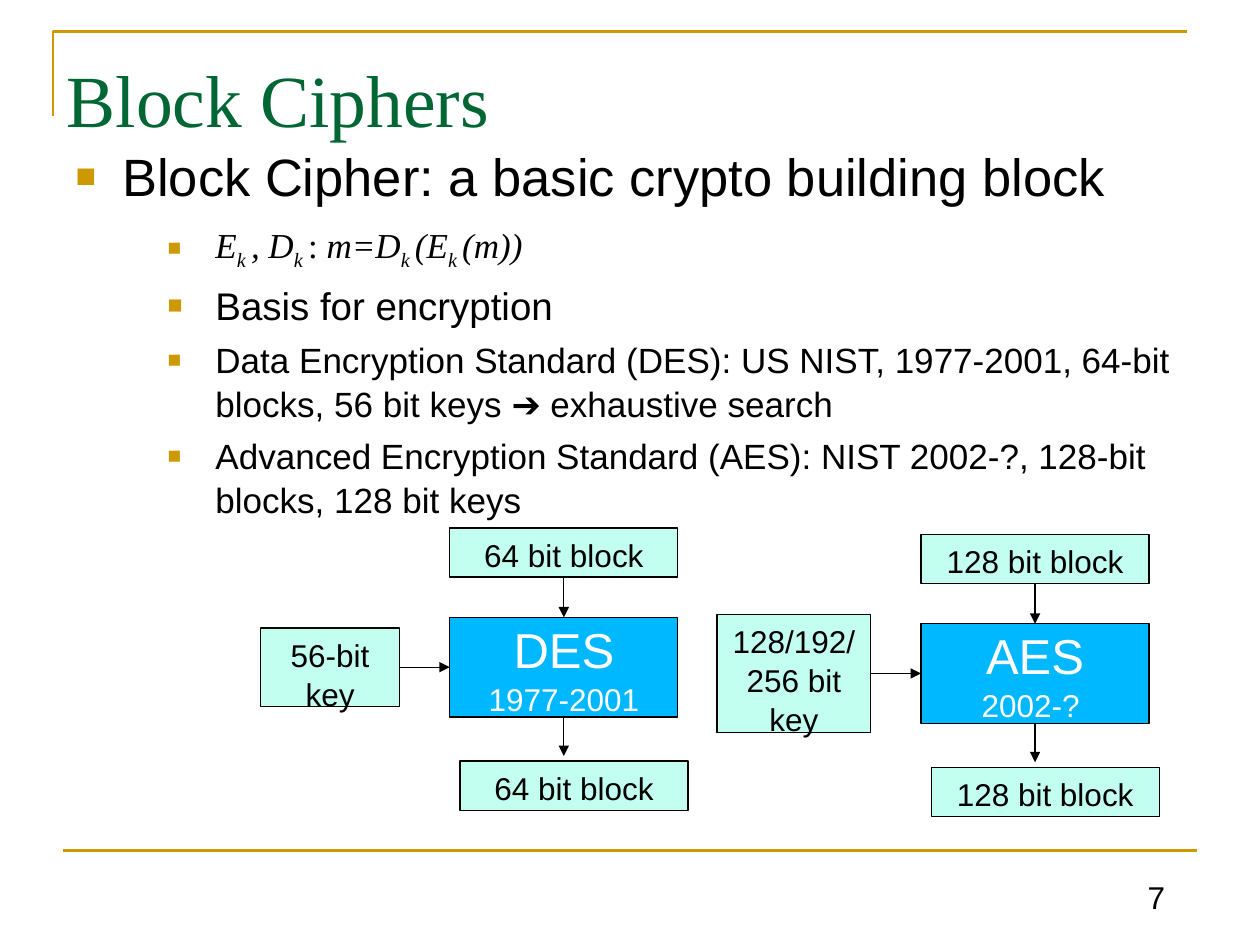
from lxml.etree import SubElement
from pptx import Presentation
from pptx.dml.color import RGBColor
from pptx.enum.shapes import MSO_CONNECTOR, MSO_SHAPE
from pptx.enum.text import MSO_ANCHOR, PP_ALIGN
from pptx.oxml.ns import qn
from pptx.util import Inches, Pt

GOLD = RGBColor(0xCC, 0x99, 0x00)
GREEN = RGBColor(0x00, 0x66, 0x33)
BLUE = RGBColor(0x00, 0xB8, 0xFF)
MINT = RGBColor(0xC2, 0xFF, 0xF0)
BLACK = RGBColor(0, 0, 0)
WHITE = RGBColor(0xFF, 0xFF, 0xFF)
SANS, SERIF = "Arial", "Times New Roman"
LEAD = 1.04
TOP, LEFT, BOTTOM, RIGHT = range(4)

# Each run: text, italic, subscript
FORMULA = [("E", True, False), ("k ", True, True), (", D", True, False),
           ("k ", True, True), (": ", False, False), ("m=D", True, False),
           ("k ", True, True), ("(E", True, False), ("k ", True, True),
           ("(m))", True, False)]
POINTS = [
    ("Basis for encryption", 22),
    ("Data Encryption Standard (DES): US NIST, 1977-2001, 64-bit blocks, "
     "56 bit keys ➔ exhaustive search", 20),
    ("Advanced Encryption Standard (AES): NIST 2002-?, 128-bit blocks, "
     "128 bit keys", 20),
]


def style(run, size, color=BLACK, name=SANS):
    font = run.font
    font.size, font.name = Pt(size), name
    font.color.rgb = color


def place(shape, x, y, w, h):
    shape.left, shape.top = Inches(x), Inches(y)
    shape.width, shape.height = Inches(w), Inches(h)


def add_line(slide, x1, y1, x2, y2, color, width):
    line = slide.shapes.add_connector(
        MSO_CONNECTOR.STRAIGHT, Inches(x1), Inches(y1), Inches(x2), Inches(y2))
    line.line.color.rgb = color
    line.line.width = Pt(width)
    SubElement(line._element.spPr, qn("a:effectLst"))
    return line


def add_arrow(slide, x1, y1, x2, y2):
    line = add_line(slide, x1, y1, x2, y2, BLACK, 0.75)
    SubElement(line.line._get_or_add_ln(), qn("a:tailEnd"), type="triangle")
    return line


def add_frame(slide, x, y, w, h):
    """Gold corner at the top left and rule at the foot of the box."""
    build = slide.shapes.build_freeform(Inches(x), Inches(y + 0.67))
    build.add_line_segments(
        [(Inches(x), Inches(y)), (Inches(x + w), Inches(y))], close=False)
    edge = build.convert_to_shape()
    edge.shadow.inherit = False
    edge.fill.background()
    edge.line.color.rgb = GOLD
    edge.line.width = Pt(1.5)
    add_line(slide, x + 0.08, y + h, x + w + 0.08, y + h, GOLD, 1.5)


def add_title(slide, x, y, w, h):
    title = slide.shapes.title
    place(title, x, y, w, h)
    frame = title.text_frame
    frame.text = "Block Ciphers"
    frame.vertical_anchor = MSO_ANCHOR.TOP
    frame.margin_top = Inches(0.13)
    para = frame.paragraphs[0]
    para.alignment = PP_ALIGN.LEFT
    style(para.runs[0], 42, GREEN, SERIF)


def set_bullet(para, left, hang):
    props = para._p.get_or_add_pPr()
    props.set("marL", str(Inches(left)))
    props.set("indent", str(-Inches(hang)))
    color = SubElement(props, qn("a:buClr"))
    SubElement(color, qn("a:srgbClr"), val=str(GOLD))
    SubElement(props, qn("a:buSzPct"), val="65000")
    SubElement(props, qn("a:buFont"), typeface=SANS)
    SubElement(props, qn("a:buChar"), char="■")
    para.line_spacing = LEAD


def add_point(frame):
    para = frame.add_paragraph()
    para.level = 2
    set_bullet(para, 1.11, 0.38)
    para.space_before = Pt(5)
    return para


def add_body(slide, x, y, w, h):
    body = slide.placeholders[1]
    place(body, x, y, w, h)
    frame = body.text_frame
    frame.text = "Block Cipher: a basic crypto building block"
    head = frame.paragraphs[0]
    set_bullet(head, 0.37, 0.37)
    head.space_before, head.space_after = Pt(0), Pt(3.8)
    style(head.runs[0], 30)

    para = add_point(frame)
    for text, slant, sub in FORMULA:
        run = para.add_run()
        run.text = text
        style(run, 20, name=SERIF)
        run.font.italic = slant
        if sub:
            run._r.get_or_add_rPr().set("baseline", "-25000")

    for text, size in POINTS:
        para = add_point(frame)
        para.text = text
        style(para.runs[0], size)


def add_box(slide, x, y, w, h, lines, fill=MINT, color=BLACK,
            anchor=MSO_ANCHOR.TOP):
    """Rectangle whose lines are pairs of text and size."""
    box = slide.shapes.add_shape(
        MSO_SHAPE.RECTANGLE, Inches(x), Inches(y), Inches(w), Inches(h))
    box.shadow.inherit = False
    box.fill.solid()
    box.fill.fore_color.rgb = fill
    box.line.color.rgb = BLACK
    box.line.width = Pt(0.75)
    frame = box.text_frame
    frame.word_wrap = True
    frame.vertical_anchor = anchor
    frame.text = "\n".join(text for text, size in lines)
    for para, (text, size) in zip(frame.paragraphs, lines):
        para.alignment = PP_ALIGN.CENTER
        para.line_spacing = LEAD
        style(para.runs[0], size, color)
    return box


def add_cipher(slide, x, y, name, years, block, key, key_w, key_h):
    """Block in, cipher and block out in a column, with the key at its left."""
    w, low, high, gap = 1.81, 0.39, 0.79, 0.4
    core_y = y + 0.71
    mid_x, mid_y, end = x + w / 2, core_y + high / 2, core_y + high
    core = add_box(slide, x, core_y, w, high, [(name, 28), (years, 18)],
                   BLUE, WHITE, MSO_ANCHOR.MIDDLE)
    source = add_box(slide, x, y, w, low, [(block, 18)])
    add_box(slide, x + 0.08, y + 1.85, w, low, [(block, 18)])
    secret = add_box(slide, x - gap - key_w, mid_y - key_h / 2, key_w, key_h,
                     [(key, 18)])

    feed = add_arrow(slide, mid_x, y + low, mid_x, core_y)
    feed.begin_connect(source, BOTTOM)
    feed.end_connect(core, TOP)
    lock = add_arrow(slide, x - gap, mid_y, x, mid_y)
    lock.begin_connect(secret, RIGHT)
    lock.end_connect(core, LEFT)
    out = add_arrow(slide, mid_x, end, mid_x, end + 0.31)
    out.begin_connect(core, BOTTOM)


def add_number(slide, x, y, w, h):
    box = slide.shapes.add_textbox(Inches(x), Inches(y), Inches(w), Inches(h))
    frame = box.text_frame
    frame.word_wrap = True
    frame.vertical_anchor = MSO_ANCHOR.BOTTOM
    frame.text = "7"
    style(frame.paragraphs[0].runs[0], 18)


def main():
    deck = Presentation()
    deck.slide_width, deck.slide_height = Inches(10), Inches(7.5)
    slide = deck.slides.add_slide(deck.slide_layouts[1])
    add_frame(slide, 0.42, 0.25, 9, 6.5)
    add_title(slide, 0.43, 0.3, 9.07, 1.5)
    add_body(slide, 0.5, 1.07, 8.99, 3.52)
    add_cipher(slide, 7.31, 4.24, "AES", "2002-? ", "128 bit block",
               "128/192/256 bit key", 1.22, 0.94)
    add_cipher(slide, 3.57, 4.19, "DES", "1977-2001", "64 bit block",
               "56-bit key", 1.1, 0.62)
    add_number(slide, 9.01, 6.83, 0.48, 0.49)
    deck.save("out.pptx")


if __name__ == "__main__":
    main()
